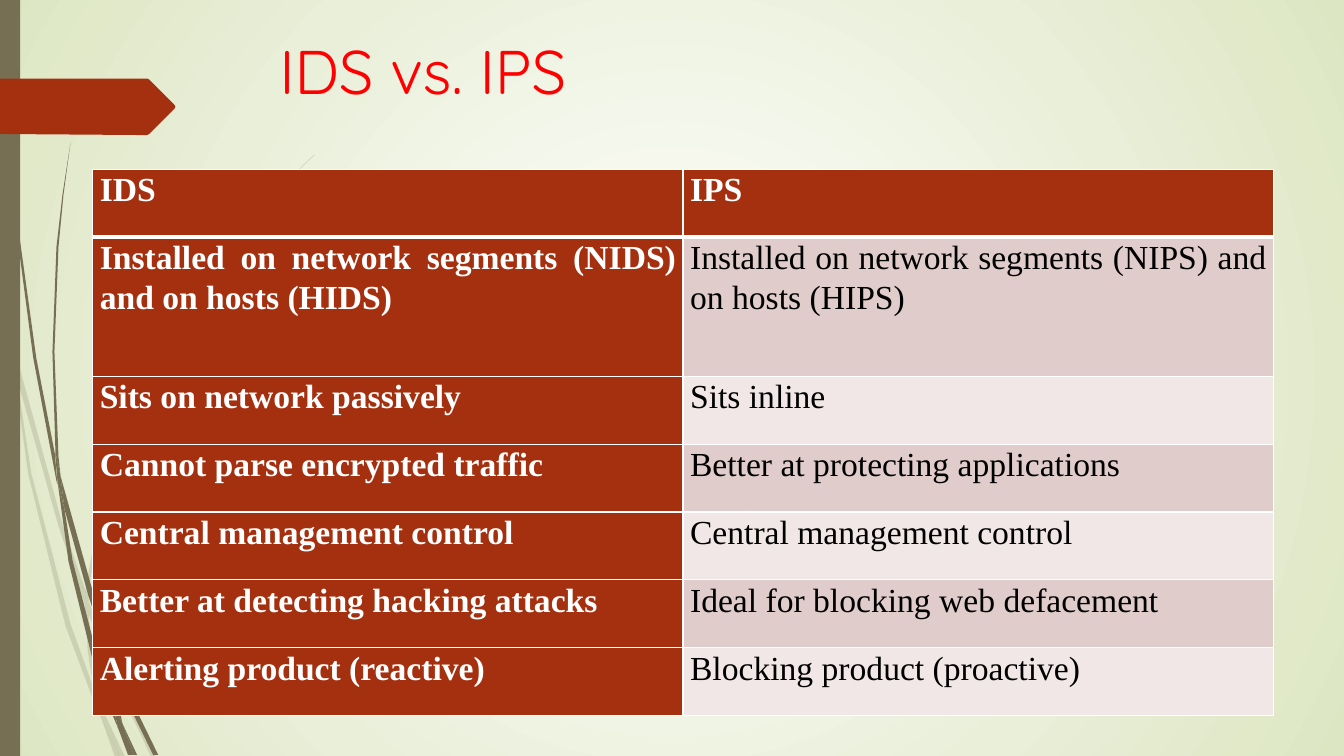
import pptx
import pptx.util
import pptx.dml.color
import pptx.enum.shapes
import pptx.enum.text
import pptx.oxml.ns
import pptx.oxml.xmlchemy

PX = 9144
WIDE, HIGH = 1333, 750
RGB = pptx.dml.color.RGBColor
WHITE = RGB(0xFF, 0xFF, 0xFF)
BLACK = RGB(0x00, 0x00, 0x00)
RED = RGB(0xFF, 0x00, 0x00)
GREEN = RGB(0xDD, 0xE6, 0xC3)
OLIVE = RGB(0x76, 0x6F, 0x54)
RUST = RGB(0xA5, 0x30, 0x10)
ROSE = RGB(0xE0, 0xCC, 0xCA)
PALE = RGB(0xF0, 0xE7, 0xE6)
qn = pptx.oxml.ns.qn
make = pptx.oxml.xmlchemy.OxmlElement

ROWS = [
    ("IDS", "IPS"),
    ("Installed on network segments (NIDS) and on hosts (HIDS)",
     "Installed on network segments (NIPS) and on hosts (HIPS)"),
    ("Sits on network passively", "Sits inline"),
    ("Cannot parse encrypted traffic", "Better at protecting applications"),
    ("Central management control", "Central management control"),
    ("Better at detecting hacking attacks", "Ideal for blocking web defacement"),
    ("Alerting product (reactive)", "Blocking product (proactive)"),
]

FAINT = [
    (11, 350, 9, 322, 0, 282, 0, 299, 10, 344),
    (58, 522, 84, 599, 85, 586, 62, 520, 14, 345, 17, 376),
    (92, 607, 88, 596, 88, 610, 123, 694, 150, 751, 155, 751, 127, 692),
    (119, 751, 124, 751, 105, 711),
    (93, 683, 70, 619, 31, 469, 17, 376, 11, 350, 28, 470, 65, 621, 92, 693,
     101, 714, 99, 707),
    (84, 599, 87, 646, 93, 683, 96, 692, 105, 711, 103, 706, 91, 646, 88, 610,
     88, 608),
    (88, 584, 110, 462, 160, 349, 229, 245, 268, 198, 290, 175, 312, 154,
     312, 153, 289, 175, 268, 197, 228, 244, 158, 348, 107, 461, 85, 584,
     85, 586, 88, 596),
    (101, 714, 114, 751, 119, 751),
    (88, 608, 88, 610, 88, 596, 85, 586, 84, 599),
    (96, 692, 93, 683, 99, 707, 101, 714, 119, 751, 105, 711),
]
BOLD = [
    (7, 110, 17, 233, 33, 355, 56, 477, 57, 481, 55, 457, 55, 453, 36, 355,
     19, 232, 8, 109, 5, 48, 4, 0, 3, 0, 4, 48),
    (88, 592, 106, 645, 106, 633, 106, 631, 93, 590, 60, 472, 64, 505),
    (113, 649, 110, 641, 111, 656, 132, 708, 152, 749, 157, 749, 136, 706),
    (110, 691, 98, 657, 72, 556, 64, 505, 57, 477, 68, 557, 93, 659, 111, 708,
     117, 722, 116, 717),
    (60, 472, 58, 453, 54, 349, 58, 245, 63, 193, 70, 141, 62, 193, 56, 245,
     52, 349, 55, 449),
    (133, 749, 136, 749, 122, 719),
    (57, 477, 64, 505, 60, 472, 55, 449, 55, 453),
    (111, 633, 125, 552, 158, 476, 205, 406, 231, 374, 245, 359, 261, 344,
     260, 344, 245, 358, 231, 373, 204, 405, 156, 474, 122, 551, 106, 631,
     110, 641),
    (117, 722, 127, 749, 131, 749),
    (106, 645, 110, 691, 116, 706, 122, 719, 121, 716, 111, 656, 109, 651),
    (106, 645, 109, 651, 111, 656, 110, 641, 106, 631, 106, 633),
    (116, 706, 110, 691, 116, 717, 117, 722, 130, 749, 133, 749, 122, 719),
]
ARROW = (0, 78, 146, 78, 148, 79, 173, 104, 174, 106, 173, 108, 148, 133,
         146, 134, 136, 134, 0, 133)


def draw(shapes, box, flat, tone, alpha=100):
    """Draw one filled outline, offset by the corner of the box."""
    left, top = box[:2]
    spots = [(left + x, top + y) for x, y in zip(flat[::2], flat[1::2])]
    pen = shapes.build_freeform(*spots[0], scale=PX)
    pen.add_line_segments(spots[1:], close=True)
    paint(pen.convert_to_shape(), tone, alpha)


def paint(shape, tone, alpha=100):
    """Fill a shape without line or shadow."""
    shape.shadow.inherit = False
    shape.line.fill.background()
    shape.fill.solid()
    shape.fill.fore_color.rgb = tone
    if alpha < 100:
        clr = shape.element.spPr.find(qn("a:solidFill"))[0]
        mark = make("a:alpha")
        mark.set("val", str(alpha * 1000))
        clr.append(mark)


def shade(slide):
    """Give the slide its round gradient."""
    fill = slide.background.fill
    fill.gradient()
    for stop, tone in zip(fill.gradient_stops, (WHITE, GREEN)):
        stop.color.rgb = tone
    lin = next(slide.element.iter(qn("a:lin")))
    ring = make("a:path")
    ring.set("path", "circle")
    rect = make("a:fillToRect")
    for side in "ltrb":
        rect.set(side, "0")
    ring.append(rect)
    lin.getparent().replace(lin, ring)


def decor(slide, box):
    """Draw the grass, the side bar and the arrow tag."""
    for blades, alpha in ((FAINT, 20), (BOLD, 100)):
        group = slide.shapes.add_group_shape()
        for blade in blades:
            draw(group.shapes, box, blade, OLIVE, alpha)
    left, top, _, high = box
    kind = pptx.enum.shapes.MSO_SHAPE.RECTANGLE
    bar = slide.shapes.add_shape(kind, left * PX, top * PX, 20 * PX, high * PX)
    paint(bar, OLIVE)
    draw(slide.shapes, box, ARROW, RUST)


def write(para, text, face, size, tone, bold=False):
    """Add one formatted run."""
    run = para.add_run()
    run.text = text
    run.font.name = face
    run.font.size = pptx.util.Pt(size)
    run.font.color.rgb = tone
    run.font.bold = bold


def head(slide, box):
    """Place and fill the title, above the decoration."""
    title = slide.shapes.title
    title.left, title.top, title.width, title.height = [n * PX for n in box]
    slide.shapes.element.append(title.element)
    frame = title.text_frame
    frame.auto_size = pptx.enum.text.MSO_AUTO_SIZE.NONE
    frame.vertical_anchor = pptx.enum.text.MSO_ANCHOR.TOP
    para = frame.paragraphs[0]
    para.alignment = pptx.enum.text.PP_ALIGN.LEFT
    write(para, "IDS vs. IPS", "Quicksand", 44, RED)


def edge(cell, row):
    """Rule a cell in white, thicker under the header."""
    props = cell._tc.get_or_add_tcPr()
    for spot, side in enumerate("LRTB"):
        thick = (row, side) in ((0, "B"), (1, "T"))
        line = make("a:ln" + side)
        line.set("w", str(pptx.util.Pt(3 if thick else 1)))
        fill = make("a:solidFill")
        clr = make("a:srgbClr")
        clr.set("val", str(WHITE))
        fill.append(clr)
        line.append(fill)
        props.insert(spot, line)


def grid(slide, box, tall):
    """Build the table; the first body row is tall, the rest share the height."""
    wide, high = box[2:]
    even = (high - tall) * PX // (len(ROWS) - 1)
    frame = slide.shapes.add_table(len(ROWS), 2, *[n * PX for n in box])
    table = frame.table
    for col in table.columns:
        col.width = wide * PX // 2
    for r, texts in enumerate(ROWS):
        table.rows[r].height = tall * PX if r == 1 else even
        for c, text in enumerate(texts):
            cell = table.cell(r, c)
            strong = r == 0 or c == 0
            cell.fill.solid()
            cell.fill.fore_color.rgb = RUST if strong else (PALE, ROSE)[r % 2]
            edge(cell, r)
            cell.margin_left = cell.margin_right = 7 * PX
            cell.margin_top = cell.margin_bottom = 0
            para = cell.text_frame.paragraphs[0]
            para.alignment = pptx.enum.text.PP_ALIGN.JUSTIFY
            para.line_spacing = 1.07
            tone = WHITE if strong else BLACK
            write(para, text, "Times New Roman", 24, tone, strong)


def main():
    """Build and save the slide."""
    deck = pptx.Presentation()
    deck.slide_width, deck.slide_height = WIDE * PX, HIGH * PX
    slide = deck.slides.add_slide(deck.slide_layouts[5])
    shade(slide)
    decor(slide, (0, 0, WIDE, HIGH))
    head(slide, (267, 28, 975, 140))
    grid(slide, (92, 168, 1171, 542), 138)
    deck.save("out.pptx")


if __name__ == "__main__":
    main()
